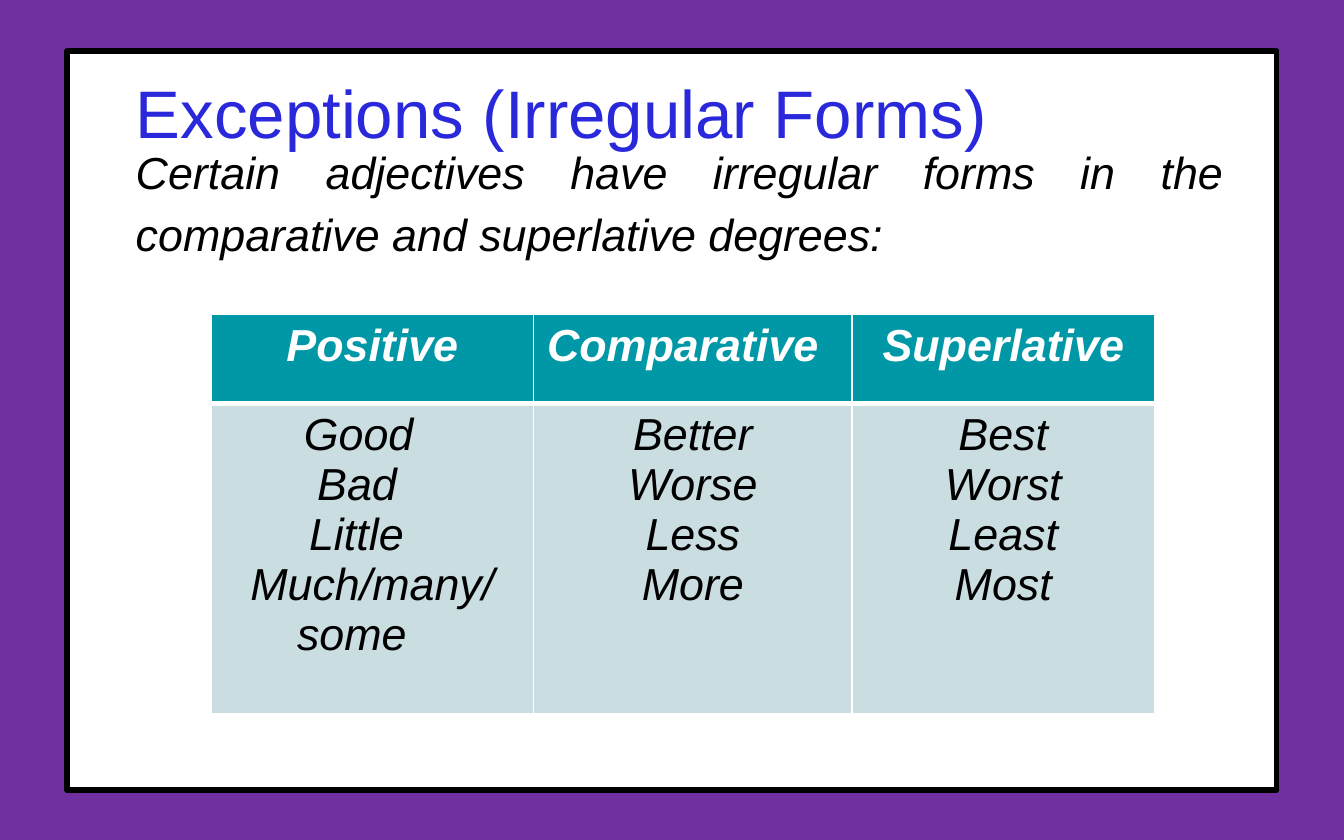
from lxml import etree
from pptx import Presentation
from pptx.dml.color import RGBColor
from pptx.enum.shapes import MSO_SHAPE as Shape
from pptx.enum.text import MSO_ANCHOR as Anchor, MSO_AUTO_SIZE as AutoSize, PP_ALIGN as Align
from pptx.oxml.ns import qn
from pptx.util import Inches, Pt

PURPLE, WHITE, BLACK = "7030A0", "FFFFFF", "000000"
BLUE, TEAL, PALE = "2929DB", "0097A7", "CADDE1"

COLUMN_WIDTHS = (2.4, 2.37, 2.25)
ROW_HEIGHTS = (0.66, 2.31)
HEADINGS = (("Positive", None), ("Comparative", 0), ("Superlative", None))
FORMS = (
    (("Good", 0.59), ("Bad", 0.69), ("Little", 0.63), ("Much/many/", None), ("some", 0.54)),
    (("Better", None), ("Worse", None), ("Less", None), ("More", None)),
    (("Best", None), ("Worst", None), ("Least", None), ("Most", None)),
)


def color(value):
    return RGBColor.from_string(value)


def paint(fill, value):
    fill.solid()
    fill.fore_color.rgb = color(value)


def write(paragraph, text, size=24, ink=BLACK, bold=False, italic=True,
          align=Align.LEFT, indent=0, spacing=1.0, before=0):
    paragraph.alignment = align
    paragraph.line_spacing = spacing
    paragraph.space_before = Pt(before)
    properties = paragraph._p.get_or_add_pPr()
    properties.set("marL", str(Inches(indent)))
    properties.set("indent", "0")
    etree.SubElement(properties, qn("a:buNone"))
    run = paragraph.add_run()
    run.text = text
    font = run.font
    font.name, font.size, font.bold, font.italic = "Arial", Pt(size), bold, italic
    font.color.rgb = color(ink)


def place(shape, box):
    shape.left, shape.top, shape.width, shape.height = map(Inches, box)


def fill_placeholder(shape, box, text, anchor, **style):
    place(shape, box)
    frame = shape.text_frame
    frame.word_wrap = True
    frame.auto_size = AutoSize.NONE
    frame.vertical_anchor = anchor
    frame.margin_left = frame.margin_right = Inches(0.1)
    frame.margin_top = frame.margin_bottom = Inches(0.1)
    write(frame.paragraphs[0], text, **style)


def add_panel(slide, box):
    panel = slide.shapes.add_shape(Shape.RECTANGLE, *map(Inches, box))
    panel.shadow.inherit = False
    paint(panel.fill, WHITE)
    panel.line.color.rgb = color(BLACK)
    panel.line.width = Pt(3)
    slide.shapes.title.element.addprevious(panel.element)


def add_borders(cell, bottom):
    properties = cell._tc.get_or_add_tcPr()
    for side, width in (("L", 1), ("R", 1), ("T", 1), ("B", bottom)):
        line = etree.SubElement(properties, qn(f"a:ln{side}"), w=str(Pt(width)))
        fill = etree.SubElement(line, qn("a:solidFill"))
        etree.SubElement(fill, qn("a:srgbClr"), val=WHITE)


def fill_cell(cell, lines, background, border, **style):
    add_borders(cell, border)
    paint(cell.fill, background)
    cell.margin_left = cell.margin_right = Inches(0.1)
    cell.margin_top = cell.margin_bottom = Inches(0.05)
    frame = cell.text_frame
    for number, (text, indent) in enumerate(lines):
        paragraph = frame.add_paragraph() if number else frame.paragraphs[0]
        align = Align.CENTER if indent is None else Align.LEFT
        write(paragraph, text, align=align, indent=indent or 0, **style)


def add_forms_table(slide, left, top):
    box = (left, top, sum(COLUMN_WIDTHS), sum(ROW_HEIGHTS))
    table = slide.shapes.add_table(2, 3, *map(Inches, box)).table
    for row, height in zip(table.rows, ROW_HEIGHTS):
        row.height = Inches(height)
    for index, width in enumerate(COLUMN_WIDTHS):
        table.columns[index].width = Inches(width)
        fill_cell(table.cell(0, index), [HEADINGS[index]], TEAL, 3, ink=WHITE, bold=True)
        fill_cell(table.cell(1, index), FORMS[index], PALE, 1)


def main():
    presentation = Presentation()
    presentation.slide_width, presentation.slide_height = Inches(10), Inches(6.25)
    slide = presentation.slides.add_slide(presentation.slide_layouts[1])
    paint(slide.background.fill, PURPLE)
    add_panel(slide, (0.5, 0.38, 9, 5.5))
    fill_placeholder(slide.shapes.title, (0.91, 0.6, 7.39, 0.63),
                     "Exceptions (Irregular Forms)", Anchor.BOTTOM,
                     size=36, ink=BLUE, italic=False)
    fill_placeholder(slide.placeholders[1], (0.91, 0.92, 8.29, 4.96),
                     "Certain adjectives have irregular forms in the "
                     "comparative and superlative degrees:", Anchor.TOP,
                     align=Align.JUSTIFY, spacing=1.15, before=12)
    add_forms_table(slide, 1.57, 2.34)
    presentation.save("out.pptx")


if __name__ == "__main__":
    main()
